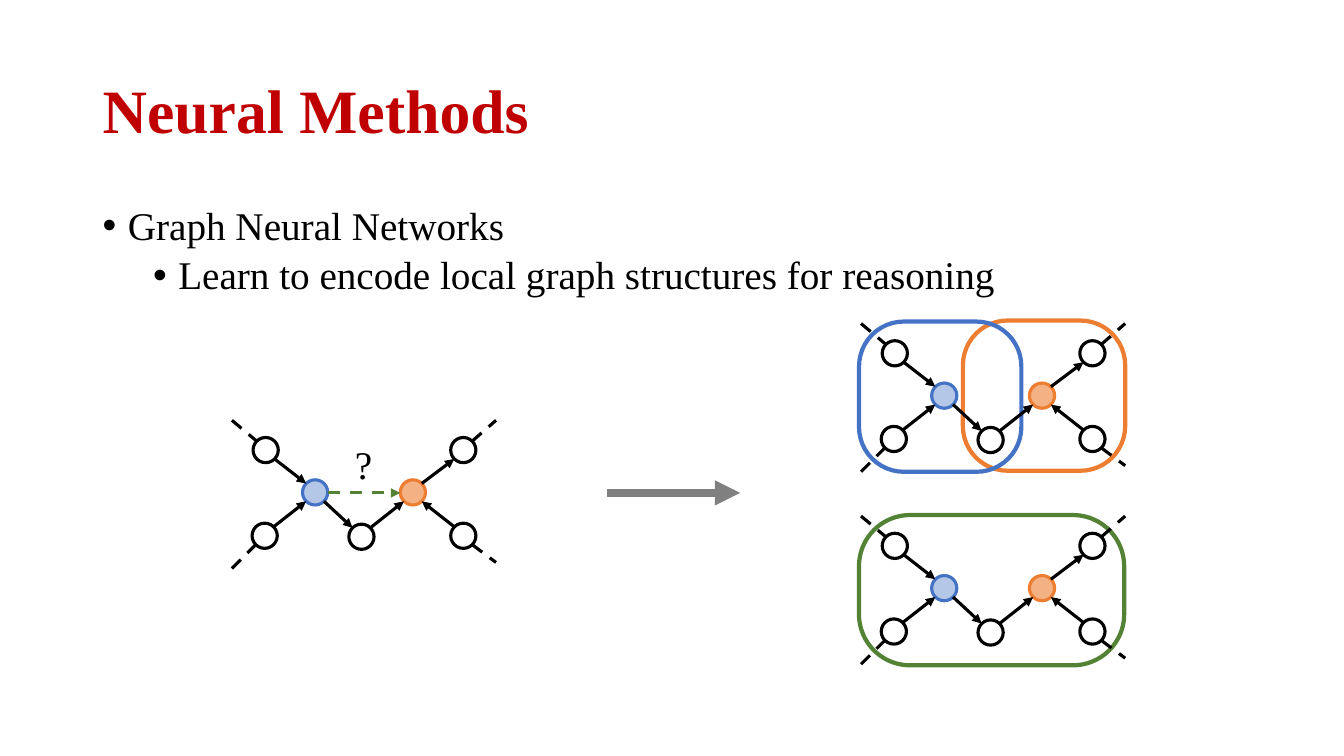
from dataclasses import dataclass
from math import copysign, sqrt
from pptx import Presentation
from pptx.dml.color import RGBColor
from pptx.enum.dml import MSO_LINE
from pptx.enum.shapes import MSO_CONNECTOR, MSO_SHAPE
from pptx.enum.text import MSO_ANCHOR, PP_ALIGN
from pptx.oxml.ns import qn
from pptx.util import Inches, Pt
from lxml.etree import SubElement


@dataclass(frozen=True)
class Theme:
    font: str = "Times New Roman"
    head: int = 44
    body: int = 28
    thin: float = 2.25
    ring: float = 3
    bold: float = 6
    red: str = "C00000"
    black: str = "000000"
    white: str = "FFFFFF"
    blue: str = "4472C4"
    sky: str = "B4C7E7"
    orange: str = "ED7D31"
    peach: str = "F4B183"
    green: str = "548235"
    gray: str = "808080"


theme = Theme()
deck = Presentation()
deck.slide_width, deck.slide_height = Inches(13.33), Inches(7.5)
slide = deck.slides.add_slide(deck.slide_layouts[6])


def text(lines, box, size=theme.body, color=theme.black, bold=False,
         align=PP_ALIGN.LEFT, anchor=MSO_ANCHOR.TOP, bullet=False, space=0.9):
    frame = slide.shapes.add_textbox(*map(Inches, box)).text_frame
    frame.word_wrap, frame.vertical_anchor = True, anchor
    for level, words in enumerate(lines):
        para = frame.paragraphs[0] if level == 0 else frame.add_paragraph()
        para.text, para.level = words, level
        para.alignment, para.line_spacing = align, space
        if level:
            para.space_before = Pt(5)
        if bullet:
            props = para._p.get_or_add_pPr()
            props.set("marL", str(Inches(0.25 + 0.5 * level)))
            props.set("indent", str(Inches(-0.25)))
            SubElement(props, qn("a:buFont")).set("typeface", "Arial")
            SubElement(props, qn("a:buChar")).set("char", "•")
        font = para.font
        font.name, font.size, font.bold = theme.font, Pt(size), bold
        font.color.rgb = RGBColor.from_string(color)


def link(start, end, color=theme.black, width=theme.thin, dash=False, arrow=True):
    line = slide.shapes.add_connector(
        MSO_CONNECTOR.STRAIGHT, *map(Inches, (*start, *end)))
    line.line.color.rgb = RGBColor.from_string(color)
    line.line.width = Pt(width)
    if dash:
        line.line.dash_style = MSO_LINE.DASH
    if arrow:
        SubElement(line.line._get_or_add_ln(), qn("a:tailEnd")).set("type", "triangle")
    SubElement(line._element.spPr, qn("a:effectLst"))


# Title and bullets
text(["Neural Methods"], (0.92, 0.4, 11.5, 1.45), size=theme.head,
     color=theme.red, bold=True, anchor=MSO_ANCHOR.MIDDLE)
text(["Graph Neural Networks", "Learn to encode local graph structures for reasoning"],
     (0.92, 2, 11.5, 4.76), bullet=True)

# One graph: node offsets, edges, and loose ends, from its top left corner
size = 0.25
nodes = {
    "mid": (1.16, 1.03, theme.white, theme.black),
    "nw": (0.21, 0.17, theme.white, theme.black),
    "sw": (0.2, 1.02, theme.white, theme.black),
    "ne": (2.17, 0.17, theme.white, theme.black),
    "se": (2.17, 1.02, theme.white, theme.black),
    "head": (0.7, 0.59, theme.sky, theme.blue),
    "tail": (1.67, 0.59, theme.peach, theme.orange),
}
edges = [("head", "mid"), ("nw", "head"), ("sw", "head"),
         ("tail", "ne"), ("se", "tail"), ("mid", "tail")]
ends = {"ne": (2.62, 0), "se": (2.62, 1.41), "sw": (0, 1.47), "nw": (0, 0)}
graphs = [(8.54, 3.21), (8.54, 5.12), (2.3, 4.17)]

# Rings around the local structures, then all nodes
shapes = [
    (MSO_SHAPE.ROUNDED_RECTANGLE, (9.55, 3.18, 1.61, 1.49), None, theme.orange, 0.298),
    (MSO_SHAPE.ROUNDED_RECTANGLE, (8.52, 3.19, 1.61, 1.49), None, theme.blue, 0.298),
    (MSO_SHAPE.ROUNDED_RECTANGLE, (8.52, 5.11, 2.63, 1.49), None, theme.green, 0.34),
]
for left, top in graphs:
    for x, y, fill, edge in nodes.values():
        box = (left + x, top + y, size, size)
        shapes.append((MSO_SHAPE.OVAL, box, fill, edge, None))

for kind, box, fill, edge, curve in shapes:
    shape = slide.shapes.add_shape(kind, *map(Inches, box))
    shape.shadow.inherit = False
    shape.line.color.rgb = RGBColor.from_string(edge)
    shape.line.width = Pt(theme.thin if fill else theme.ring)
    if fill:
        shape.fill.solid()
        shape.fill.fore_color.rgb = RGBColor.from_string(fill)
    else:
        shape.fill.background()
        shape.adjustments[0] = curve

# Links leave and reach each node on its diagonals
reach = size / 2 / sqrt(2)
for left, top in graphs:
    spots = {name: (left + x + size / 2, top + y + size / 2)
             for name, (x, y, *_) in nodes.items()}
    for start, end in edges:
        (x1, y1), (x2, y2) = spots[start], spots[end]
        dx, dy = copysign(reach, x2 - x1), copysign(reach, y2 - y1)
        link((x1 + dx, y1 + dy), (x2 - dx, y2 - dy))
    for name, (x, y) in ends.items():
        cx, cy = spots[name]
        far = (left + x, top + y)
        near = (cx + copysign(reach, far[0] - cx), cy + copysign(reach, far[1] - cy))
        # West ends run inward, east ends outward
        first, last = sorted((near, far))
        link(first, last, dash=True, arrow=False)

# Missing link and the step to the right
link((3.25, 4.89), (3.97, 4.89), color=theme.green, dash=True)
text(["?"], (3.28, 4.32, 0.65, 0.57), align=PP_ALIGN.CENTER, space=1)
link((6.02, 4.89), (7.34, 4.89), color=theme.gray, width=theme.bold)

deck.save("out.pptx")
